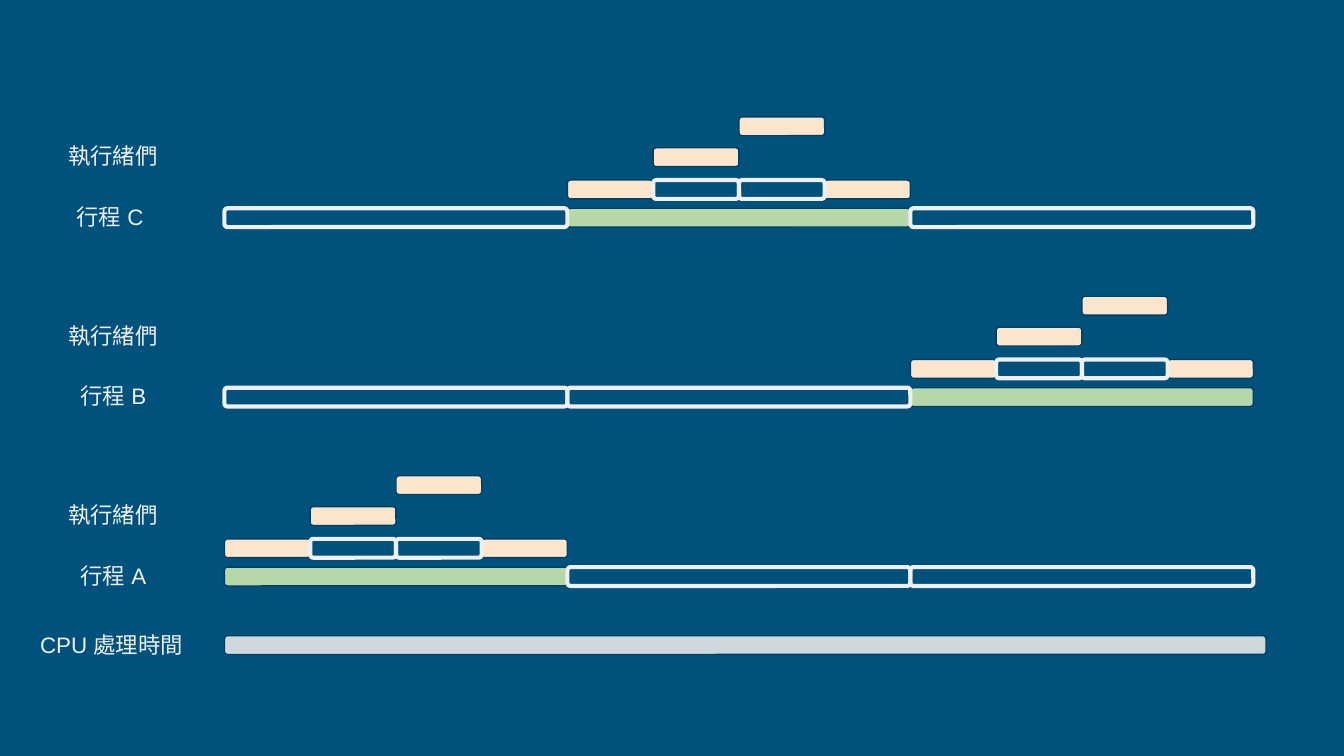
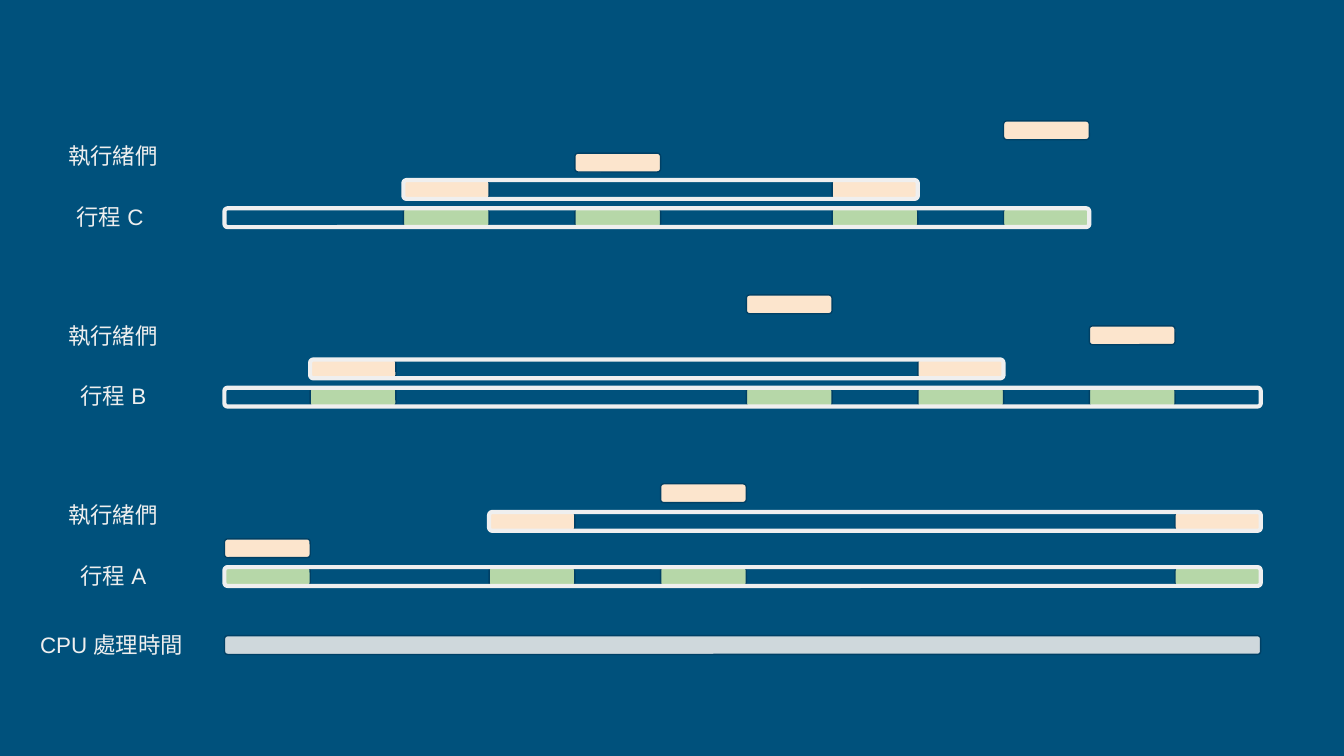
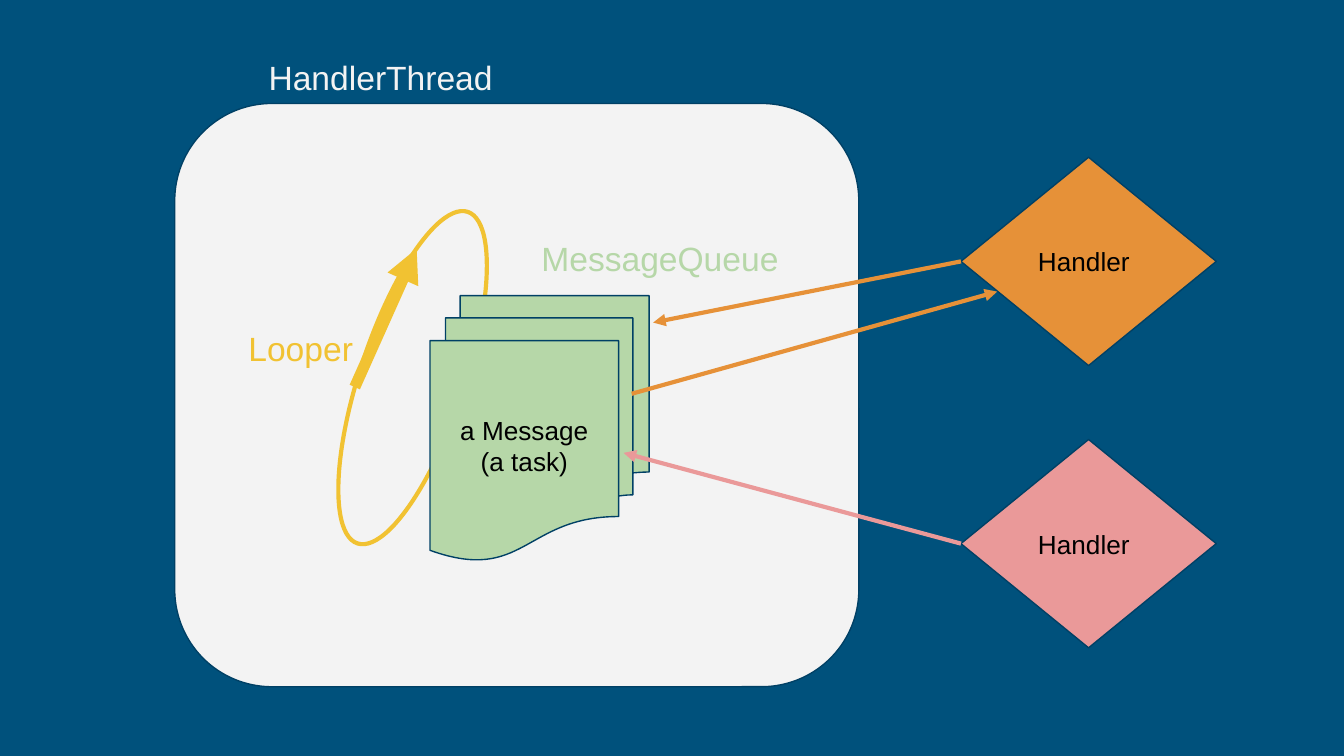
from pptx import Presentation
from pptx import util as u
from pptx.dml.color import RGBColor
from pptx.enum import shapes, text
from pptx.oxml.ns import qn
from lxml import etree

FONT = "Arial"
NAVY, EDGE, PALE, PANEL = "00517C", "004065", "EFEFEF", "F3F3F3"
GREEN, PEACH, GREY = "B6D7A8", "FCE5CD", "CFD8DC"
YELLOW, ORANGE, PINK, BLACK = "F1C232", "E69138", "EA9999", "000000"
THIN, THICK, HEAVY = 0.75, 2.25, 6

# Timeline grid, in hundredths of the slide's width
LEFT, STEP, BAR = 16.7, 6.38, 1.4
FIRST_ROW, ROW_STEP, CPU_ROW = 15.5, 13.35, 47.3
NAMES = "CBA"


def rgb(color):
    return RGBColor.from_string(color)


class Deck:
    """Holds the style and the current slide; lengths are in 1/100 of its width."""

    def __init__(self):
        self.prs = Presentation()
        self.prs.slide_width, self.prs.slide_height = u.Inches(10), u.Inches(5.625)
        fill = self.prs.slide_master.background.fill
        fill.solid()
        fill.fore_color.rgb = rgb(NAVY)
        self.s = None

    def slide(self):
        self.s = self.prs.slides.add_slide(self.prs.slide_layouts[6])

    def size(self, *units):
        return [round(self.prs.slide_width * n / 100) for n in units]

    def set_text(self, sp, words, size, color, align=None):
        tf = sp.text_frame
        tf.word_wrap = True
        tf.margin_left = tf.margin_right = tf.margin_top = tf.margin_bottom = u.Inches(0.1)
        tf.text = words
        for p in tf.paragraphs:
            p.alignment = align or text.PP_ALIGN.LEFT
            for r in p.runs:
                r.font.size, r.font.name = u.Pt(size), FONT
                r.font.color.rgb = rgb(color)
                etree.SubElement(r.font._element, qn("a:ea"), typeface=FONT)
        return tf

    def label(self, words, x, y, w, h, size=12, color=PALE):
        sp = self.s.shapes.add_textbox(*self.size(x, y, w, h))
        self.set_text(sp, words, size, color).vertical_anchor = text.MSO_ANCHOR.TOP

    def shape(self, kind, x, y, w, h, fill=None, line=EDGE, width=THIN,
              words=None, align=None):
        sp = self.s.shapes.add_shape(kind, *self.size(x, y, w, h))
        sp.shadow.inherit = False
        if fill:
            sp.fill.solid()
            sp.fill.fore_color.rgb = rgb(fill)
        else:
            sp.fill.background()
        sp.line.color.rgb, sp.line.width = rgb(line), u.Pt(width)
        if words:
            tf = self.set_text(sp, words, 14, BLACK, align)
            tf.vertical_anchor = text.MSO_ANCHOR.MIDDLE
        return sp

    def arrow(self, start, end, color, width=THICK, source=None):
        c = self.s.shapes.add_connector(
            shapes.MSO_CONNECTOR.STRAIGHT, *self.size(*start, *end))
        if source is not None:
            c.begin_connect(source, 1)
        c.line.color.rgb, c.line.width = rgb(color), u.Pt(width)
        sp_pr = c._element.spPr
        etree.SubElement(sp_pr.find(qn("a:ln")), qn("a:tailEnd"), type="triangle")
        etree.SubElement(sp_pr, qn("a:effectLst"))

    def bar(self, x, y, w, fill=None):
        """A filled bar is working time, an empty one is waiting time."""
        line, width = (EDGE, THIN) if fill else (PALE, THICK)
        self.shape(shapes.MSO_SHAPE.FLOWCHART_ALTERNATE_PROCESS,
                   x, y, w, BAR, fill, line, width)

    def span(self, col, row, count=1, fill=None, gap=0):
        """A bar over whole columns; the gap lies before the third column."""
        def left(n):
            return LEFT + STEP * n + (gap if n > 1 else 0)
        self.bar(left(col), row, left(col + count - 1) + STEP - left(col), fill)

    def timeline(self, cpu_width):
        """Row labels and the CPU bar; returns the row of each process."""
        self.slide()
        self.bar(LEFT, CPU_ROW, cpu_width, GREY)
        self.label("CPU 處理時間", 2, 46, 12.9, 4.3)
        rows = {name: FIRST_ROW + ROW_STEP * i for i, name in enumerate(NAMES)}
        for name, row in rows.items():
            x, w = (4.7, 7.6) if name == "C" else (5, 7)
            self.label("行程 " + name, x, row - 1.4, w, 4.3)
            self.label("執行緒們", 4.1, row - 5.9, 8.7, 4.3)
        return rows


def whole_turns(d):
    """Each process runs once, for four columns."""
    rows = d.timeline(77.5)
    for name, start in {"C": 4, "B": 8, "A": 0}.items():
        row = rows[name]
        for col, rise in enumerate((2.1, 4.5, 6.8, 2.1)):
            d.span(start + col, row - rise, fill=PEACH)
        for col in (1, 2):
            d.span(start + col, row - 2.1)
        d.span(start, row, 4, GREEN)
        for col in (0, 4, 8):
            if col != start:
                d.span(col, row, 4)


def sliced_turns(d):
    """Processes swap after every column."""
    rows = d.timeline(77.1)
    gap = 0.55
    # Process: (column, rise) of each thread turn, waiting thread, columns in all
    plan = {
        "C": ((2, 2.1), (4, 4.1), (7, 2.1), (9, 6.5), (2, 2.1, 6), 10),
        "B": ((1, 2.1), (6, 6.9), (8, 2.1), (10, 4.6), (1, 2.1, 8), 12),
        "A": ((0, 2.1), (3, 4.1), (5, 6.2), (11, 4.1), (3, 4.1, 9), 12),
    }
    for name, (*turns, (col, rise, count), total) in plan.items():
        row = rows[name]
        for turn, height in turns:
            d.span(turn, row, fill=GREEN, gap=gap)
            d.span(turn, row - height, fill=PEACH, gap=gap)
        d.span(col, row - rise, count, gap=gap)
        d.span(0, row, total, gap=gap)


def handler_thread(d):
    d.slide()
    kind = shapes.MSO_SHAPE
    # Thread with its looper
    d.shape(kind.ROUNDED_RECTANGLE, 13, 7.7, 50.9, 43.4, PANEL)
    loop = d.shape(kind.OVAL, 26.8, 15.1, 7.8, 26, line=YELLOW, width=THICK)
    loop.rotation = 18.4
    d.arrow((26.4, 28.8), (31, 18.5), YELLOW, HEAVY)
    d.label("Looper", 17.5, 23.4, 10.3, 5.1, 18, YELLOW)
    # Message queue
    d.shape(kind.FLOWCHART_MULTIDOCUMENT, 32, 22, 16.3, 19.7, GREEN,
            words="a Message\n(a task)", align=text.PP_ALIGN.CENTER)
    d.label("MessageQueue", 39.3, 16.7, 19.8, 3.9, 18, GREEN)
    d.label("HandlerThread", 19, 3.2, 21.9, 2.7, 18, PANEL)
    # Handlers and their messages
    first, second = (d.shape(kind.DIAMOND, 71.5, y, 19, 15.5, fill, words="Handler")
                     for y, fill in ((11.7, ORANGE), (32.7, PINK)))
    d.arrow((71.5, 19.5), (48.6, 24), ORANGE, source=first)
    d.arrow((47, 29.3), (74.2, 21.7), ORANGE)
    d.arrow((71.5, 40.4), (46.4, 33.7), PINK, source=second)


def main():
    d = Deck()
    whole_turns(d)
    sliced_turns(d)
    handler_thread(d)
    d.prs.save("out.pptx")


if __name__ == "__main__":
    main()
